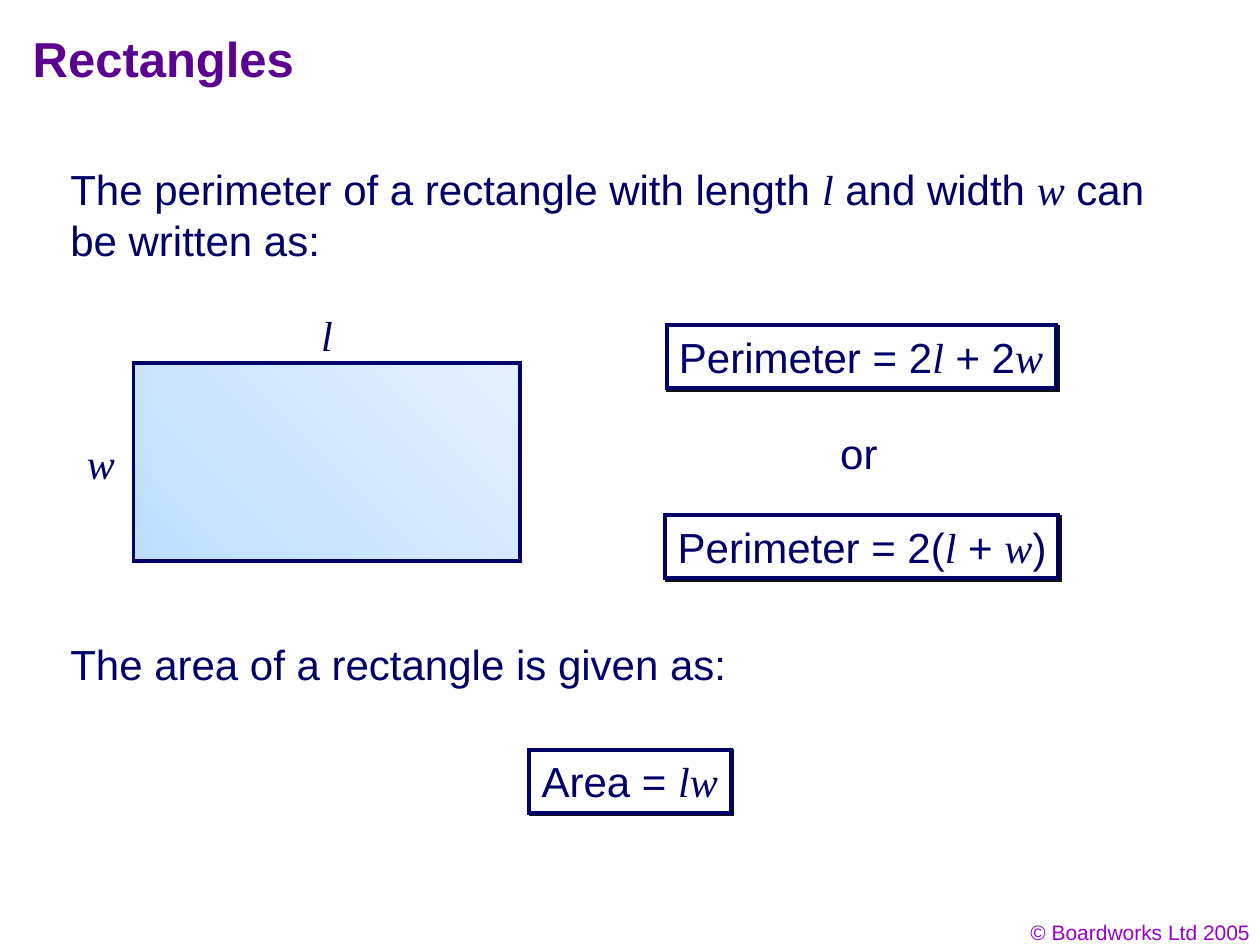
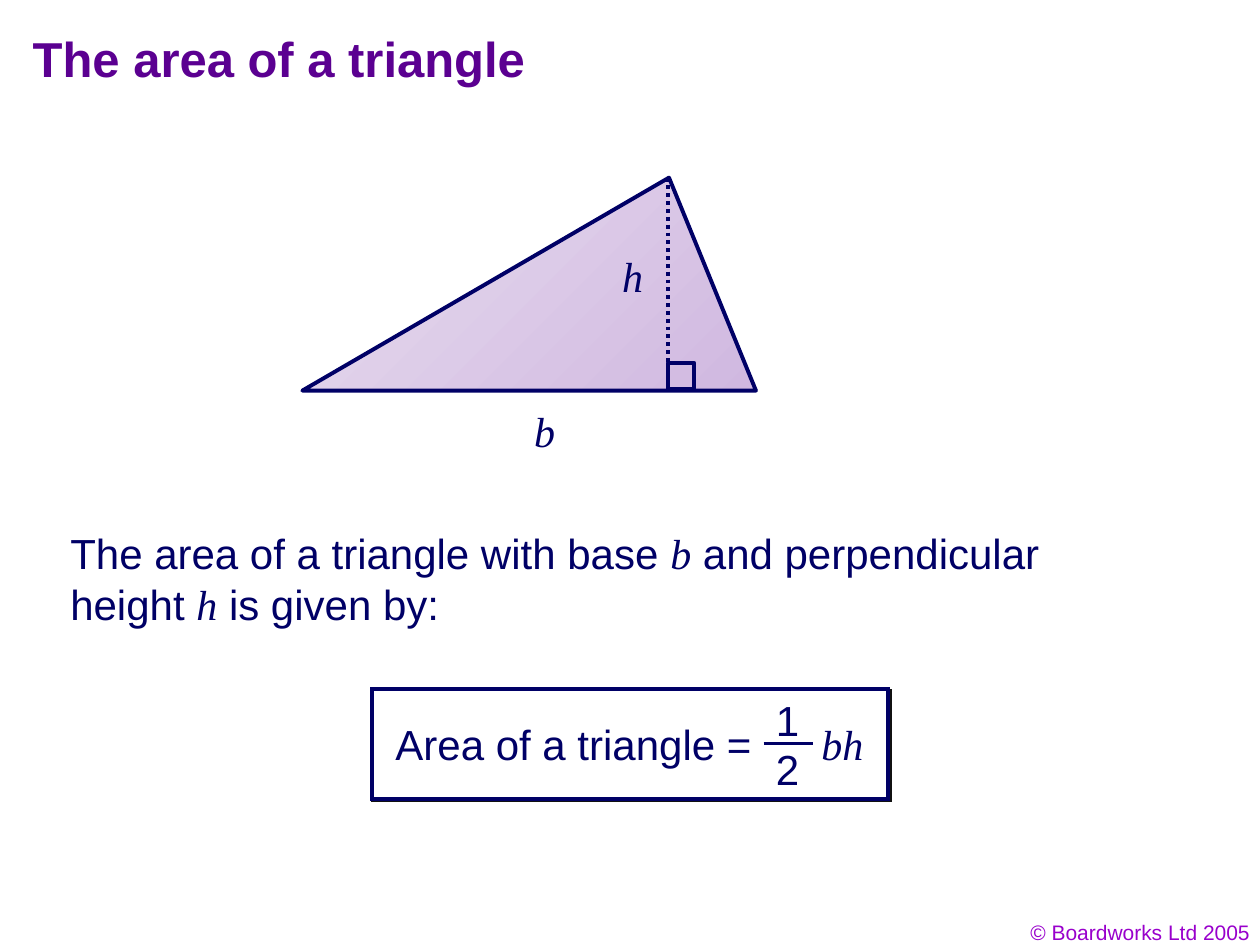
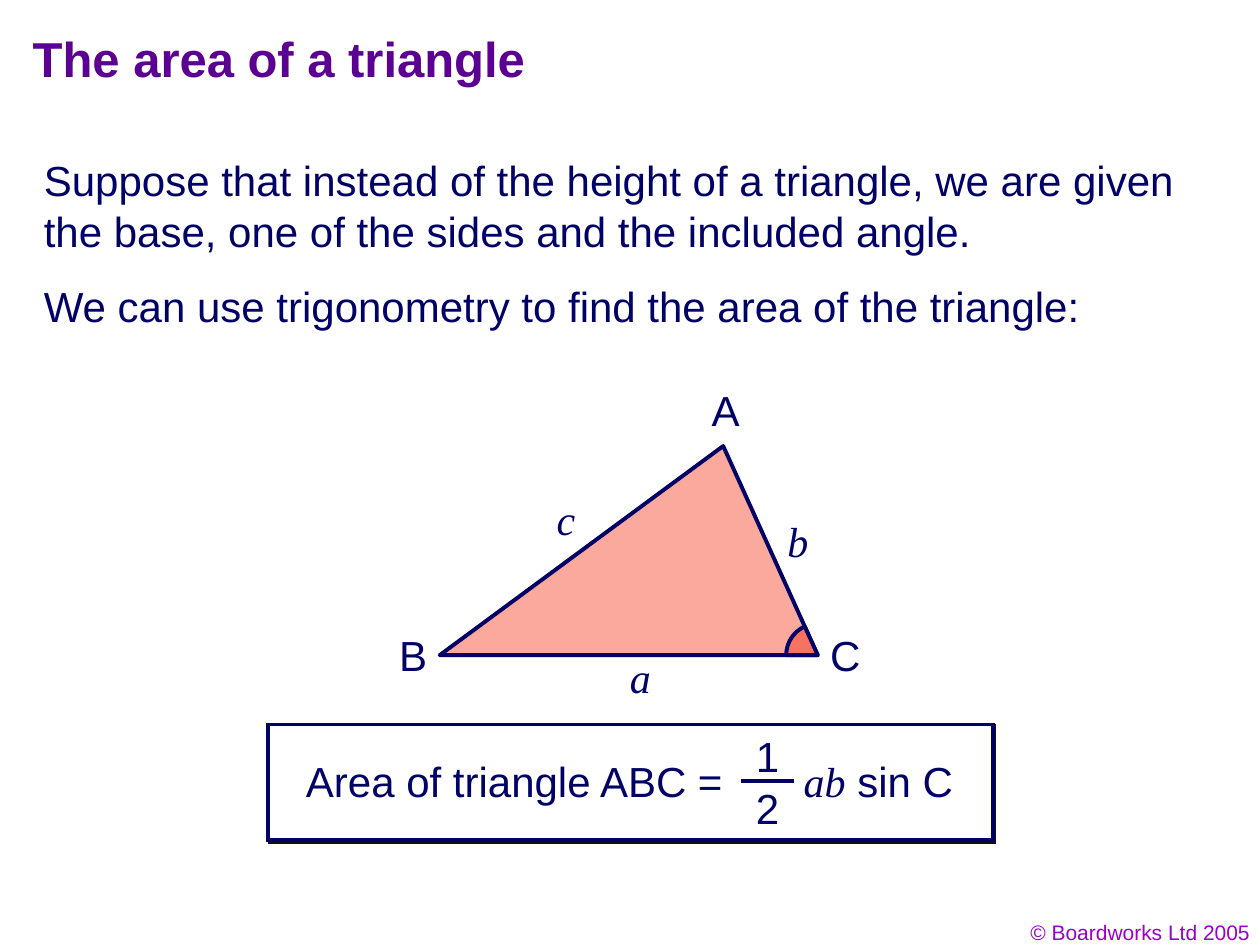
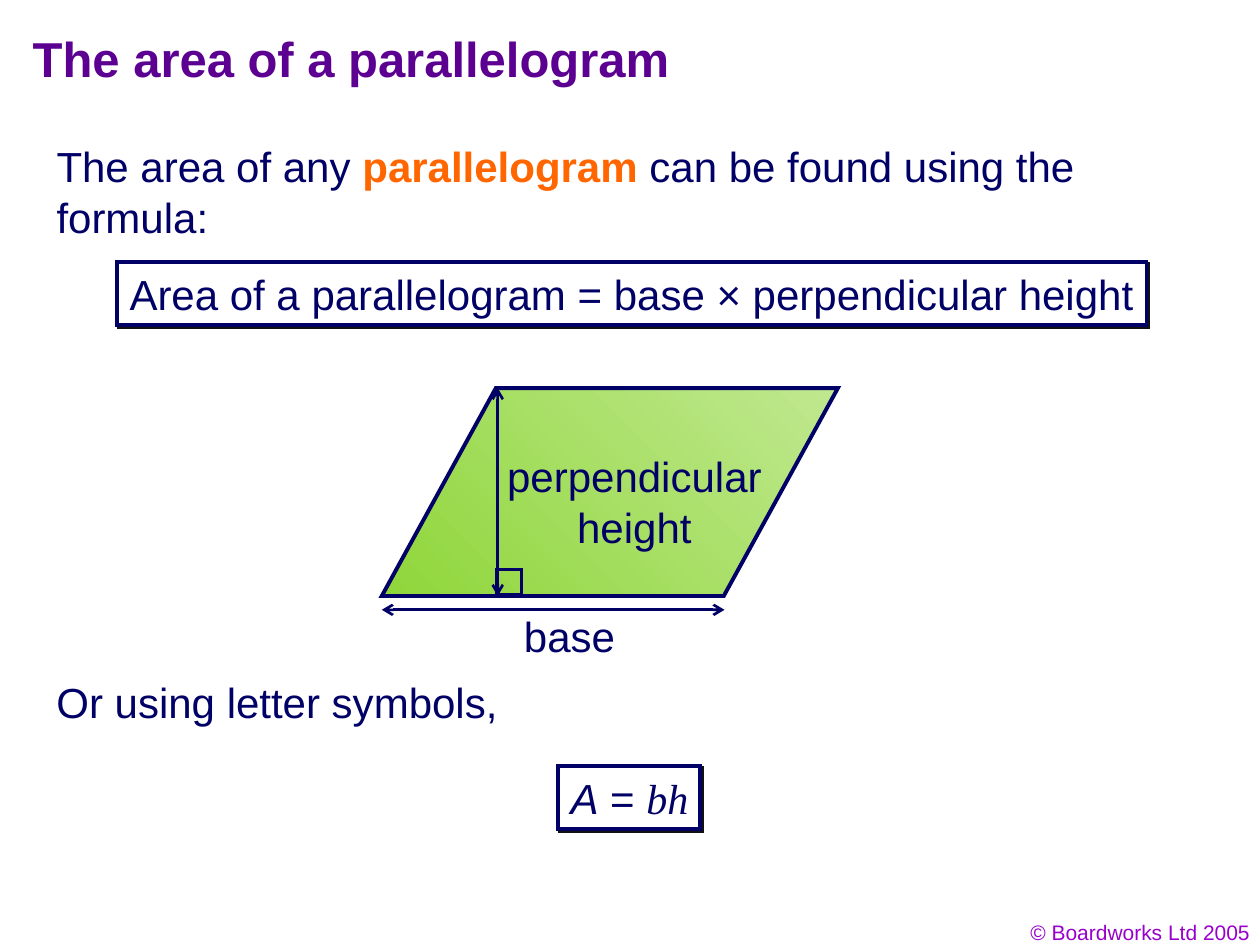
"""Build four slides on the perimeter and area of rectangles, triangles and parallelograms."""
import math

import lxml.etree
import pptx
import pptx.dml.color
import pptx.enum.dml
import pptx.enum.shapes
import pptx.enum.text
import pptx.oxml.ns
import pptx.util

hex_colour = pptx.dml.color.RGBColor.from_string
qn = pptx.oxml.ns.qn
Pt = pptx.util.Pt
ALIGN = pptx.enum.text.PP_ALIGN
SHAPE = pptx.enum.shapes.MSO_SHAPE

NAVY, PURPLE, VIOLET, ORANGE = "000066", "5B0091", "9900CC", "FF6600"
WHITE, SHADOW, PINK, CORAL = "FFFFFF", "111111", "FBA89D", "F87260"
PLAIN = {"name": "Arial", "size": Pt(24), "bold": False, "italic": False}
SYMBOL = PLAIN | {"name": "Times New Roman", "italic": True}
KEYWORD = PLAIN | {"bold": True}
TITLE = PLAIN | {"size": Pt(28), "bold": True}
FOOTER = PLAIN | {"size": Pt(12)}
THICK, THIN = 2.25, 1.5
COLUMNS = 100

presentation = pptx.Presentation()
presentation.slide_width = pptx.util.Inches(10)
presentation.slide_height = pptx.util.Inches(7.5)
cell = presentation.slide_width / COLUMNS


def add_text(slide, area, text, prose=False, framed=False, align=ALIGN.LEFT, tab=None,
             base=PLAIN, accent=SYMBOL, colour=NAVY, accent_colour=NAVY):
    """Place text on the grid; parts between asterisks take the accent format."""
    place = [round(value * cell) for value in area]
    if framed:
        shape = slide.shapes.add_shape(SHAPE.RECTANGLE, *place)
        shape.fill.solid()
        shape.fill.fore_color.rgb = hex_colour(WHITE)
        shape.line.color.rgb = hex_colour(NAVY)
        shape.line.width = Pt(THICK)
        shape.shadow.inherit = False
        effects = shape.element.spPr.find(qn("a:effectLst"))
        shadow = lxml.etree.SubElement(effects, qn("a:outerShdw"), dist=str(Pt(1.4)),
                                       dir="2700000", algn="ctr", rotWithShape="0")
        lxml.etree.SubElement(shadow, qn("a:srgbClr"), val=SHADOW)
    else:
        shape = slide.shapes.add_textbox(*place)
    if not text:
        return shape
    shape.text_frame.word_wrap = True
    shape.text_frame.auto_size = pptx.enum.text.MSO_AUTO_SIZE.NONE
    if not prose:
        shape.text_frame.margin_right = 0
    paragraph = shape.text_frame.paragraphs[0]
    paragraph.alignment = align
    if tab:
        tabs = lxml.etree.SubElement(paragraph._p.get_or_add_pPr(), qn("a:tabLst"))
        lxml.etree.SubElement(tabs, qn("a:tab"), pos=str(round(tab * cell)), algn="l")
    for index, part in enumerate(text.split("*")):
        if part:
            run = paragraph.add_run()
            run.text = part
            for name, value in (accent if index % 2 else base).items():
                setattr(run.font, name, value)
            run.font.color.rgb = hex_colour(accent_colour if index % 2 else colour)
    return shape


def add_line(slide, ends, width, arrows=False, dash=None):
    """Draw a straight line between two grid points."""
    connector = slide.shapes.add_connector(pptx.enum.shapes.MSO_CONNECTOR.STRAIGHT,
                                           *[round(value * cell) for value in ends])
    connector.line.color.rgb = hex_colour(NAVY)
    connector.line.width = Pt(width)
    if dash:
        connector.line.dash_style = dash
    properties = connector.element.spPr
    if arrows:
        for end in ("a:headEnd", "a:tailEnd"):
            lxml.etree.SubElement(properties.find(qn("a:ln")), qn(end), type="arrow")
    lxml.etree.SubElement(properties, qn("a:effectLst"))


layout = presentation.slide_layouts[5]
for placeholder in list(layout.placeholders):
    if placeholder.placeholder_format.idx:
        placeholder.element.getparent().remove(placeholder.element)

slides = []
for heading, width, height in (("Rectangles", 80.4, 6.9),
                               ("The area of a triangle", 80.4, 6.9),
                               ("The area of a triangle", 80.4, 6.9),
                               ("The area of a parallelogram", 90, 6.7)):
    slide = presentation.slides.add_slide(layout)
    title = slide.shapes.title
    for name, value in {"left": 1.6, "top": 1.6, "width": width, "height": height}.items():
        setattr(title, name, round(value * cell))
    title.text_frame.text = heading
    title.text_frame.vertical_anchor = pptx.enum.text.MSO_ANCHOR.TOP
    title.text_frame.margin_top = pptx.util.Inches(0.07)
    paragraph = title.text_frame.paragraphs[0]
    paragraph.alignment = ALIGN.LEFT
    for name, value in TITLE.items():
        setattr(paragraph.runs[0].font, name, value)
    paragraph.runs[0].font.color.rgb = hex_colour(PURPLE)
    slides.append(slide)
rectangles, triangle, included_angle, parallelogram = slides

footer = add_text(rectangles, (76.9, 72.5, 23.3, 3), "© Boardworks Ltd 2005",
                  prose=True, align=ALIGN.RIGHT, base=FOOTER, colour=VIOLET)
layout.shapes.element.append(footer.element)

for slide, kind, area, width, gradient in (
        (rectangles, SHAPE.RECTANGLE, (10.6, 28.8, 30.7, 15.7), THICK, ("E2F0FE", "BDDEFF")),
        (parallelogram, SHAPE.PARALLELOGRAM, (30.3, 30.8, 36.2, 16.5), THICK, ("C0E890", "8FD63A")),
        (parallelogram, SHAPE.RECTANGLE, (39.4, 45.2, 2, 2), THIN, None)):
    shape = slide.shapes.add_shape(kind, *[round(value * cell) for value in area])
    shape.shadow.inherit = False
    shape.line.color.rgb = hex_colour(NAVY)
    shape.line.width = Pt(width)
    if kind == SHAPE.PARALLELOGRAM:
        shape.adjustments[0] = 0.549
    if gradient:
        shape.fill.gradient()
        shape.fill.gradient_angle = 225
        for stop, colour in zip(shape.fill.gradient_stops, gradient):
            stop.color.rgb = hex_colour(colour)
    else:
        shape.fill.background()

corner_a, corner_b, corner_c = (57.4, 35.4), (34.9, 52), (64.9, 52)
radius = 2.5
slope = math.degrees(math.atan2(corner_c[1] - corner_a[1], corner_a[0] - corner_c[0]))
arc = [(corner_c[0] + radius * math.cos(math.radians(angle)),
        corner_c[1] - radius * math.sin(math.radians(angle)))
       for angle in [slope + (180 - slope) * step / 12 for step in range(13)]]
square = [(53, 28.8), (55.1, 28.8), (55.1, 30.9), (53, 30.9)]
for slide, points, fill in ((triangle, [(60, 31), (24, 31), (53.1, 14.1)], ("E8DDEF", "D0B8E0")),
                            (triangle, square, None),
                            (included_angle, [corner_b, corner_c, corner_a], PINK),
                            (included_angle, arc + [corner_c], CORAL)):
    corners = [(round(x * cell), round(y * cell)) for x, y in points]
    builder = slide.shapes.build_freeform(*corners[0])
    builder.add_line_segments(corners[1:], close=True)
    shape = builder.convert_to_shape()
    shape.shadow.inherit = False
    shape.line.color.rgb = hex_colour(NAVY)
    shape.line.width = Pt(THICK)
    if fill is None:
        shape.fill.background()
    elif isinstance(fill, str):
        shape.fill.solid()
        shape.fill.fore_color.rgb = hex_colour(fill)
    else:
        shape.fill.gradient()
        shape.fill.gradient_angle = 315
        for stop, colour in zip(shape.fill.gradient_stops, fill):
            stop.color.rgb = hex_colour(colour)

add_line(triangle, (53, 14.1, 53, 31.1), THICK, dash=pptx.enum.dml.MSO_LINE.ROUND_DOT)
add_line(parallelogram, (30.3, 48.4, 57.5, 48.4), THIN, arrows=True)
add_line(parallelogram, (39.5, 30.8, 39.5, 47.3), THIN, arrows=True)

for slide, area, text in (
        (rectangles, (4.6, 12.5, 88.7, 9),
         "The perimeter of a rectangle with length *l* and width *w* can be written as:"),
        (rectangles, (4.6, 50.2, 88.7, 5), "The area of a rectangle is given as:"),
        (triangle, (4.6, 41.4, 88.7, 9),
         "The area of a triangle with base *b* and perpendicular height *h* is given by:"),
        (included_angle, (2.5, 11.8, 96, 9),
         "Suppose that instead of the height of a triangle, we are given the base, "
         "one of the sides and the included angle."),
        (included_angle, (2.5, 21.8, 96, 5),
         "We can use trigonometry to find the area of the triangle:")):
    add_text(slide, area, text, prose=True)
add_text(parallelogram, (3.5, 10.7, 94.5, 9),
         "The area of any *parallelogram* can be found using the formula:",
         prose=True, accent=KEYWORD, accent_colour=ORANGE)
add_text(parallelogram, (39, 35.3, 22.7, 9), "perpendicular height", prose=True,
         align=ALIGN.CENTER)

for slide, left, top, width, text in (
        (rectangles, 24.5, 24.1, 2.9, "*l*"),
        (rectangles, 5.9, 34.2, 4.2, "*w*"),
        (rectangles, 65.7, 33.4, 4.9, "or"),
        (triangle, 41.4, 31.7, 3.6, "*b*"),
        (triangle, 48.4, 19.4, 3.6, "*h*"),
        (included_angle, 55.5, 30, 4.2, "A"),
        (included_angle, 30.7, 49.5, 4.2, "B"),
        (included_angle, 64.9, 49.5, 4.4, "C"),
        (included_angle, 43.2, 38.7, 3.5, "*c*"),
        (included_angle, 49, 51.2, 3.6, "*a*"),
        (included_angle, 61.5, 40.4, 3.6, "*b*"),
        (parallelogram, 40.6, 48, 9.2, "base"),
        (parallelogram, 3.5, 53.2, 37, "Or using letter symbols,")):
    add_text(slide, (left, top, width, 5), text)

for slide, left, top, width, text in (
        (rectangles, 52.9, 25.8, 30.9, "Perimeter = 2*l* + 2*w*"),
        (rectangles, 52.8, 40.9, 31.2, "Perimeter = 2(*l* + *w*)"),
        (rectangles, 42, 59.5, 16, "Area = *lw*"),
        (parallelogram, 9.3, 20.8, 81.7, "Area of a parallelogram = base × perpendicular height"),
        (parallelogram, 44.3, 60.8, 11.3, "*A* = *bh*")):
    formula = add_text(slide, (left, top, width, 5), text, framed=True)
formula.text_frame.paragraphs[0].runs[0].font.name = PLAIN["name"]

for slide, frame, area, text, tab, digit_left, digit_tops, bar, weight in (
        (triangle, (29.5, 54.7, 41, 8.7), (30.4, 56.5, 39.1, 5),
         "Area of a triangle =\t*bh*", 33.8, 60.6, (54.6, 58.5), (60.6, 59, 64.5, 59), THIN),
        (included_angle, (21.3, 57.5, 57.5, 9.2), (23.3, 59.5, 53.5, 5),
         "Area of triangle ABC =\t*ab* sin C", 39.5, 59, (57.5, 61.6), (58.8, 62, 63, 62), THICK)):
    add_text(slide, frame, "", framed=True)
    add_text(slide, area, text, tab=tab)
    for digit, digit_top in zip("12", digit_tops):
        add_text(slide, (digit_left, digit_top, 3.8, 5), digit)
    add_line(slide, bar, weight)

for slide in slides:
    for shape in slide.shapes:
        if shape.shape_type == pptx.enum.shapes.MSO_SHAPE_TYPE.AUTO_SHAPE:
            outline = shape.element.spPr.find(qn("a:ln"))
            lxml.etree.SubElement(outline, qn("a:miter"), lim="800000")

presentation.save("out.pptx")
